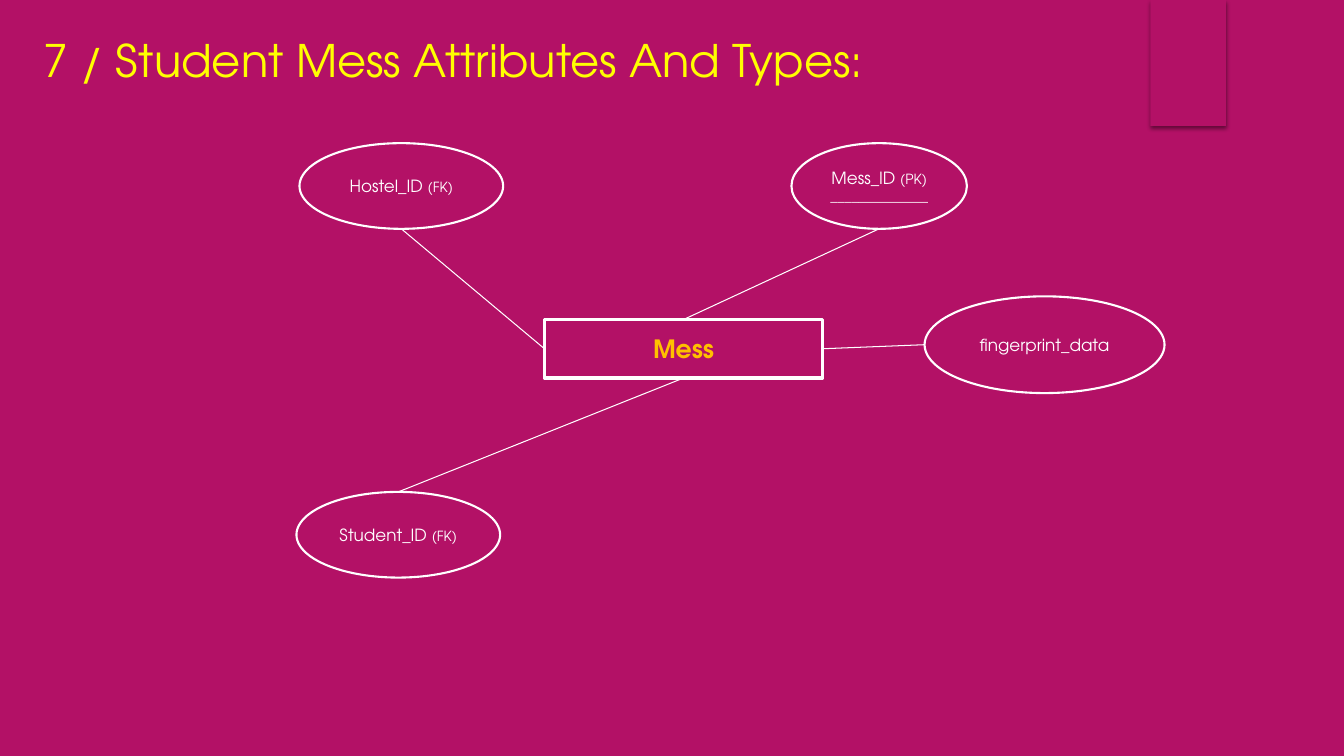
from dataclasses import dataclass

from lxml import etree
from pptx import Presentation
from pptx.dml.color import RGBColor
from pptx.enum.shapes import MSO_CONNECTOR as CONN, MSO_SHAPE as SHAPE
from pptx.enum.text import MSO_ANCHOR as ANCHOR, PP_ALIGN as ALIGN
from pptx.oxml import parse_xml
from pptx.oxml.ns import nsdecls, qn
from pptx.util import Inches, Pt


@dataclass(frozen=True)
class Theme:
    font: str = "TeX Gyre Adventor"
    background: str = "B31166"
    line: str = "FFFFFF"
    title: str = "FFFF00"
    entity: str = "FFC000"
    text: str = "FFFFFF"
    title_size: int = 32
    entity_size: int = 18
    attribute_size: int = 12
    key_size: int = 10
    entity_width: float = 2.25
    attribute_width: float = 1.5
    link_width: float = 0.75


THEME = Theme()
ENTITY_BOX = (5.4, 3.17, 2.76, 0.58)

# name, key, underline, box, side of the attribute, side of the entity
ATTRIBUTES = [
    ("Mess_ID ", "(PK)", "______________", (7.85, 1.42, 1.74, 0.85), "bottom", "top"),
    ("Hostel_ID ", "(FK)", "", (2.97, 1.42, 2.02, 0.85), "bottom", "left"),
    ("Student_ID ", "(FK)", "", (2.94, 4.88, 2.02, 0.85), "top", "bottom"),
    ("fingerprint_data", "", "", (9.17, 2.94, 2.38, 0.96), "left", "right"),
]


def rgb(value):
    return RGBColor.from_string(value)


def add_run(p, text, *, size, color, bold=False):
    r = p.add_run()
    r.text = text
    r.font.name = THEME.font
    r.font.size = Pt(size)
    r.font.bold = bold
    r.font.color.rgb = rgb(color)


def side_point(box, side):
    """Return the middle of one side of a box."""
    x, y, w, h = box
    return {
        "top": (x + w / 2, y),
        "bottom": (x + w / 2, y + h),
        "left": (x, y + h / 2),
        "right": (x + w, y + h / 2),
    }[side]


def add_outlined(slide, kind, box, width):
    """Add an unfilled shape and return its first paragraph and text frame."""
    sp = slide.shapes.add_shape(kind, *map(Inches, box))
    sp.shadow.inherit = False
    sp.fill.background()
    sp.line.color.rgb = rgb(THEME.line)
    sp.line.width = Pt(width)
    tf = sp.text_frame
    tf.word_wrap = True
    tf.vertical_anchor = ANCHOR.MIDDLE
    p = tf.paragraphs[0]
    p.alignment = ALIGN.CENTER
    return p, tf


def add_link(slide, start, end):
    line = slide.shapes.add_connector(CONN.STRAIGHT, *map(Inches, (*start, *end)))
    line.line.color.rgb = rgb(THEME.line)
    line.line.width = Pt(THEME.link_width)
    etree.SubElement(line._element.spPr, qn("a:effectLst"))


def add_ribbon(slide, box):
    """Add the background-coloured tab that only its shadow reveals."""
    sp = slide.shapes.add_shape(SHAPE.RECTANGLE, *map(Inches, box))
    sp.fill.solid()
    sp.fill.fore_color.rgb = rgb(THEME.background)
    sp.line.fill.background()
    sp._element.spPr.append(parse_xml(
        f'<a:effectLst {nsdecls("a")}>'
        f'<a:outerShdw blurRad="{Pt(3)}" dist="{Pt(2)}" dir="5400000" rotWithShape="0">'
        '<a:srgbClr val="000000"><a:alpha val="45000"/></a:srgbClr>'
        '</a:outerShdw></a:effectLst>'))


def add_title(slide, box, text):
    tf = slide.shapes.add_textbox(*map(Inches, box)).text_frame
    tf.word_wrap = True
    add_run(tf.paragraphs[0], text, size=THEME.title_size, color=THEME.title)


def add_entity(slide, box, name):
    p, _ = add_outlined(slide, SHAPE.RECTANGLE, box, THEME.entity_width)
    add_run(p, name, size=THEME.entity_size, color=THEME.entity, bold=True)


def add_attribute(slide, box, name, key, underline):
    p, tf = add_outlined(slide, SHAPE.OVAL, box, THEME.attribute_width)
    add_run(p, name, size=THEME.attribute_size, color=THEME.text)
    if key:
        add_run(p, key, size=THEME.key_size, color=THEME.text)
    if underline:
        p = tf.add_paragraph()
        p.alignment = ALIGN.CENTER
        add_run(p, underline, size=THEME.key_size, color=THEME.text)


def add_diagram(slide, entity_box):
    add_entity(slide, entity_box, "Mess")
    for name, key, underline, box, side, entity_side in ATTRIBUTES:
        add_attribute(slide, box, name, key, underline)
        add_link(slide, side_point(box, side), side_point(entity_box, entity_side))


def main():
    prs = Presentation()
    prs.slide_width, prs.slide_height = Inches(13.33), Inches(7.5)
    slide = prs.slides.add_slide(prs.slide_layouts[6])
    slide.background.fill.solid()
    slide.background.fill.fore_color.rgb = rgb(THEME.background)
    add_ribbon(slide, (11.41, 0, 0.75, 1.25))
    add_title(slide, (0.33, 0.28, 9.25, 0.64), "7 / Student Mess Attributes And Types:")
    add_diagram(slide, ENTITY_BOX)
    prs.save("out.pptx")


if __name__ == "__main__":
    main()
